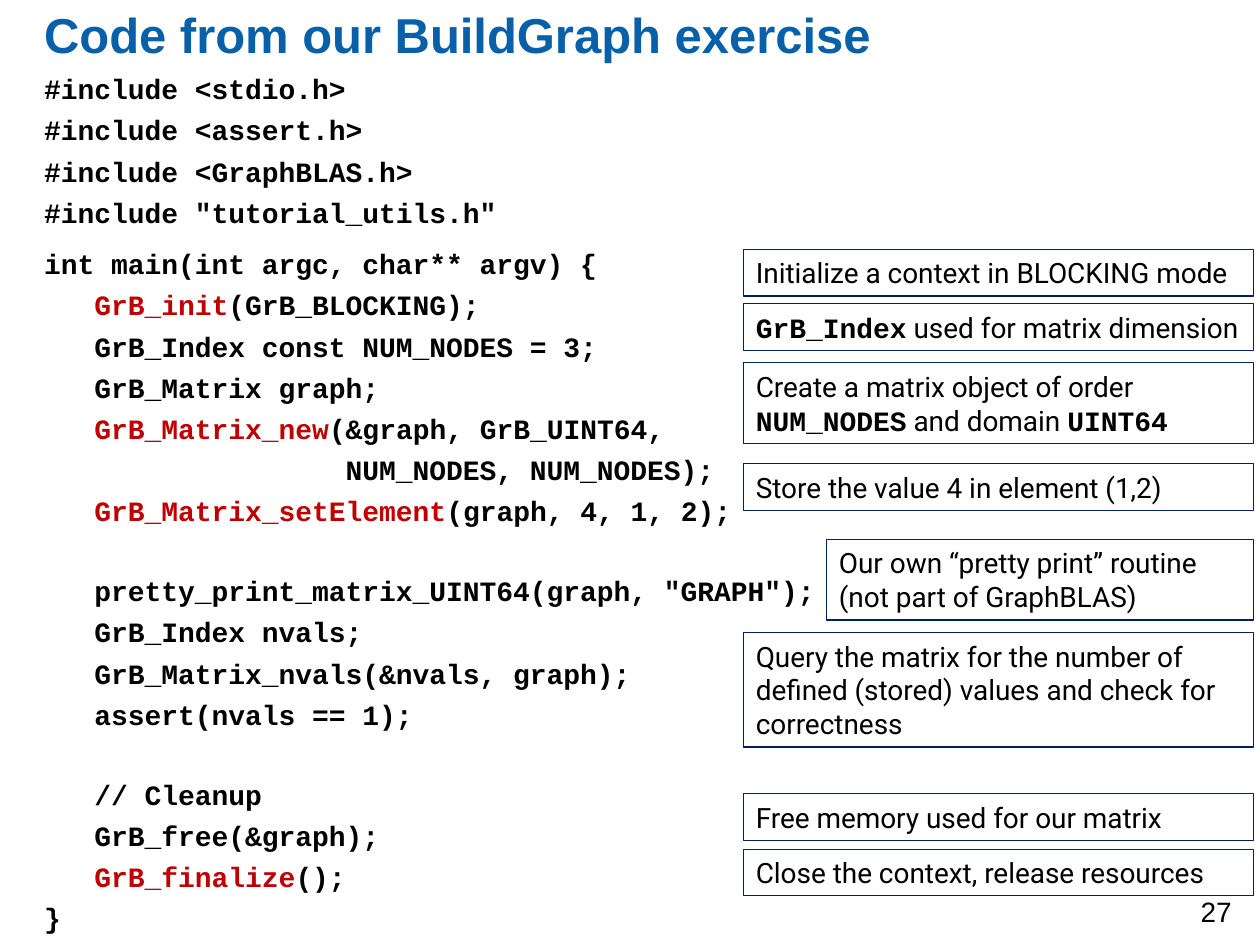
"""Build the annotated BuildGraph code slide."""
from lxml import etree
from pptx import Presentation
from pptx.dml.color import RGBColor
from pptx.enum.shapes import MSO_SHAPE
from pptx.enum.text import MSO_ANCHOR, MSO_AUTO_SIZE, PP_ALIGN
from pptx.oxml.ns import qn
from pptx.util import Inches, Pt

RECT = MSO_SHAPE.RECTANGLE
TOP, MIDDLE = MSO_ANCHOR.TOP, MSO_ANCHOR.MIDDLE
NO_FIT, GROW = MSO_AUTO_SIZE.NONE, MSO_AUTO_SIZE.SHAPE_TO_FIT_TEXT
LEFT = PP_ALIGN.LEFT
WIDTH, HEIGHT = 10, 7.5
COLORS = {"title": "0860A8", "text": "000000", "call": "C00000", "border": "002060"}

TITLE = "Code from our BuildGraph exercise"
PAGE = "27"
CODE = """#include <stdio.h>
#include <assert.h>
#include <GraphBLAS.h>
#include "tutorial_utils.h"
int main(int argc, char** argv) {
   `GrB_init`(GrB_BLOCKING);
   GrB_Index const NUM_NODES = 3;
   GrB_Matrix graph;
   `GrB_Matrix_new`(&graph, GrB_UINT64,
                  NUM_NODES, NUM_NODES);
   `GrB_Matrix_setElement`(graph, 4, 1, 2);

   pretty_print_matrix_UINT64(graph, "GRAPH");
   GrB_Index nvals;
   GrB_Matrix_nvals(&nvals, graph);
   assert(nvals == 1);

   // Cleanup
   GrB_free(&graph);
   `GrB_finalize`();
}"""
LINE_GAP, ROW_PITCH, SECTION_GAP = 4.3, 22.4, 6

NOTE_LEFT, NOTE_RIGHT = 59, 99.5
NOTES = [
    (NOTE_LEFT, 26.4, 1, "Initialize a context in BLOCKING mode"),
    (NOTE_LEFT, 32.13, 1, "`GrB_Index` used for matrix dimension"),
    (NOTE_LEFT, 38.4, 2, "Create a matrix object of order `NUM_NODES` and domain `UINT64`"),
    (NOTE_LEFT, 49.07, 1, "Store the value 4 in element (1,2)"),
    (65.6, 57.07, 2, "Our own “pretty print” routine (not part of GraphBLAS)"),
    (NOTE_LEFT, 66.93, 3, "Query the matrix for the number of defined (stored) values "
                          "and check for correctness"),
    (NOTE_LEFT, 84, 1, "Free memory used for our matrix"),
    (NOTE_LEFT, 89.87, 1, "Close the context, release resources"),
]

PLAIN = {"name": "Arial", "size": Pt(16), "bold": False, "color": "text"}
HEADING = {**PLAIN, "size": Pt(28), "bold": True, "color": "title"}
MONO = {**PLAIN, "name": "Courier New", "bold": True}
MONO_CALL = {**MONO, "color": "call"}
NOTE = {**PLAIN, "name": "Roboto"}


def set_attrs(obj, **values):
    for key, value in values.items():
        setattr(obj, key, value)


def place(sp, left, top, width, height):
    set_attrs(sp, left=Inches(left), top=Inches(top),
              width=Inches(width), height=Inches(height))


def set_frame(sp, anchor, fit, inset=None):
    tf = sp.text_frame
    set_attrs(tf, word_wrap=True, vertical_anchor=anchor, auto_size=fit)
    if inset is not None:
        set_attrs(tf, margin_left=inset, margin_right=inset,
                  margin_top=inset, margin_bottom=inset)
    return tf


def add_runs(p, text, base, marked=None):
    p.alignment = LEFT
    for i, part in enumerate(text.split("`")):
        if part:
            r = p.add_run()
            r.text = part
            style = dict(marked if i % 2 else base)
            r.font.color.rgb = RGBColor.from_string(COLORS[style.pop("color")])
            set_attrs(r.font, **style)


def add_code(sp):
    tf = set_frame(sp, TOP, NO_FIT, 0)
    p, gap = tf.paragraphs[0], 0
    for i, line in enumerate(CODE.split("\n")):
        if not line:
            gap += ROW_PITCH
            continue
        if i:
            p = tf.add_paragraph()
        if line.startswith("int main"):
            gap += SECTION_GAP
        pPr = p._p.get_or_add_pPr()
        pPr.set("marL", "0")
        pPr.set("indent", "0")
        etree.SubElement(pPr, qn("a:buNone"))
        p.space_before = Pt(gap)
        add_runs(p, line, MONO, MONO_CALL)
        gap = LINE_GAP


def add_note(s, left, top, rows, text):
    sp = s.shapes.add_shape(RECT, 0, 0, 0, 0)
    place(sp, left / 100 * WIDTH, top / 100 * HEIGHT,
          (NOTE_RIGHT - left) / 100 * WIDTH, 0.1 + 0.27 * rows)
    sp.shadow.inherit = False
    sp.fill.background()
    sp.line.color.rgb = RGBColor.from_string(COLORS["border"])
    sp.line.width = Pt(0.75)
    add_runs(set_frame(sp, MIDDLE, GROW).paragraphs[0], text, NOTE, MONO)


def main():
    prs = Presentation()
    set_attrs(prs, slide_width=Inches(WIDTH), slide_height=Inches(HEIGHT))
    s = prs.slides.add_slide(prs.slide_layouts[1])
    title, body = s.shapes.title, s.placeholders[1]

    place(body, 0.35, 0.57, 6.36, 6.78)
    add_code(body)

    place(title, 0.35, 0, 9.01, 0.6)
    p = set_frame(title, MIDDLE, NO_FIT, 0).paragraphs[0]
    p.line_spacing = 0.9
    add_runs(p, TITLE, HEADING)

    page = s.shapes.add_textbox(0, 0, 0, 0)
    place(page, 9.43, 7.05, 0.51, 0.33)
    add_runs(set_frame(page, TOP, NO_FIT).paragraphs[0], PAGE, PLAIN)

    for note in NOTES:
        add_note(s, *note)
    prs.save("out.pptx")


if __name__ == "__main__":
    main()
